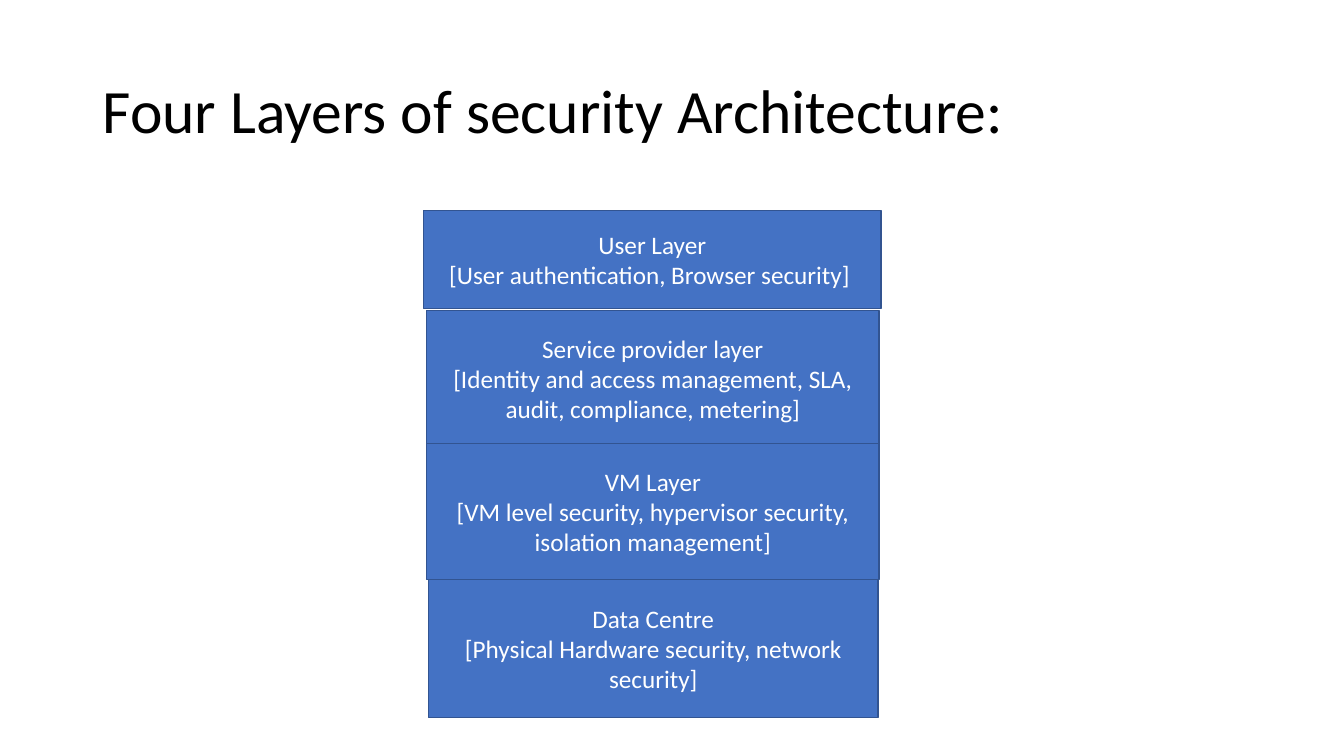
from pptx import Presentation
from pptx import util as u
from pptx.dml import color
from pptx.enum import shapes, text

PX = u.Inches(1) // 100
COLORS = {"ink": "000000", "paper": "FFFFFF", "block": "4472C4", "edge": "325491"}
LAYERS = [
    (420, 209, 454, 97, "User Layer", "[User authentication, Browser security] "),
    (423, 308, 449, 135, "Service provider layer",
     "[Identity and access management, SLA, audit, compliance, metering]"),
    (423, 440, 449, 135, "VM Layer",
     "[VM level security, hypervisor security, isolation management]"),
    (425, 575, 446, 137, "Data Centre", "[Physical Hardware security, network security]"),
]


class Deck:
    """Holds the style and the current slide, and draws its elements."""

    def __init__(self, width, height, font="Calibri"):
        self.prs = Presentation()
        self.prs.slide_width, self.prs.slide_height = width * PX, height * PX
        self.s = self.prs.slides.add_slide(self.prs.slide_layouts[6])
        self.font = font

    def rgb(self, name):
        return color.RGBColor.from_string(COLORS[name])

    def label(self, sp, lines, size, ink, **formats):
        tf = sp.text_frame
        tf.word_wrap = True
        tf.vertical_anchor = text.MSO_ANCHOR.MIDDLE
        for i, line in enumerate(lines):
            p = tf.paragraphs[0] if i == 0 else tf.add_paragraph()
            for key, value in formats.items():
                setattr(p, key, value)
            r = p.add_run()
            r.text = line
            for key, value in {"name": self.font, "size": u.Pt(size)}.items():
                setattr(r.font, key, value)
            r.font.color.rgb = self.rgb(ink)

    def title(self, x, y, w, h, line):
        sp = self.s.shapes.add_textbox(x * PX, y * PX, w * PX, h * PX)
        self.label(sp, [line], 44, "ink", alignment=text.PP_ALIGN.LEFT, line_spacing=0.9)

    def block(self, x, y, w, h, *lines):
        sp = self.s.shapes.add_shape(
            shapes.MSO_SHAPE.RECTANGLE, x * PX, y * PX, w * PX, h * PX)
        sp.shadow.inherit = False
        sp.fill.solid()
        sp.fill.fore_color.rgb = self.rgb("block")
        sp.line.color.rgb = self.rgb("edge")
        sp.line.width = u.Pt(1)
        self.label(sp, lines, 18, "paper", alignment=text.PP_ALIGN.CENTER)


def main():
    deck = Deck(1333, 750)
    deck.title(92, 40, 1150, 145, "Four Layers of security Architecture:")
    for layer in LAYERS:
        deck.block(*layer)
    deck.prs.save("out.pptx")


if __name__ == "__main__":
    main()
